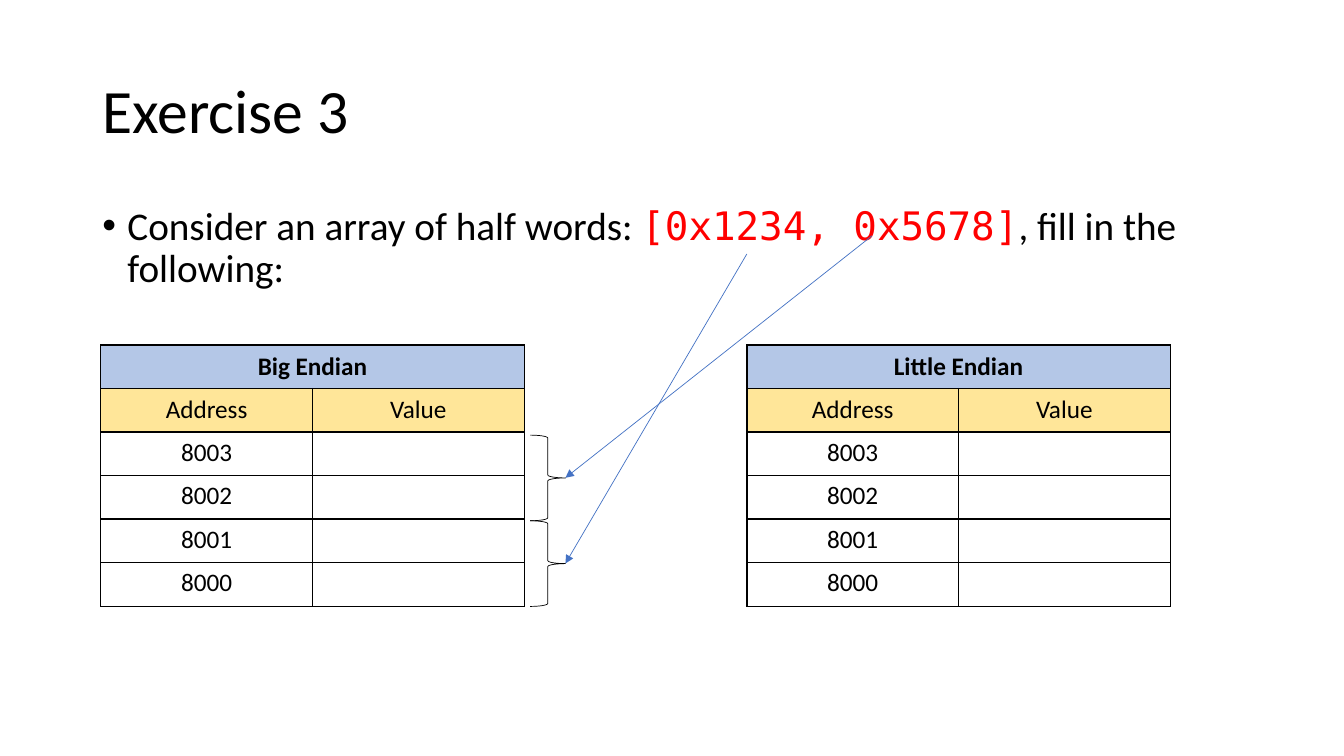
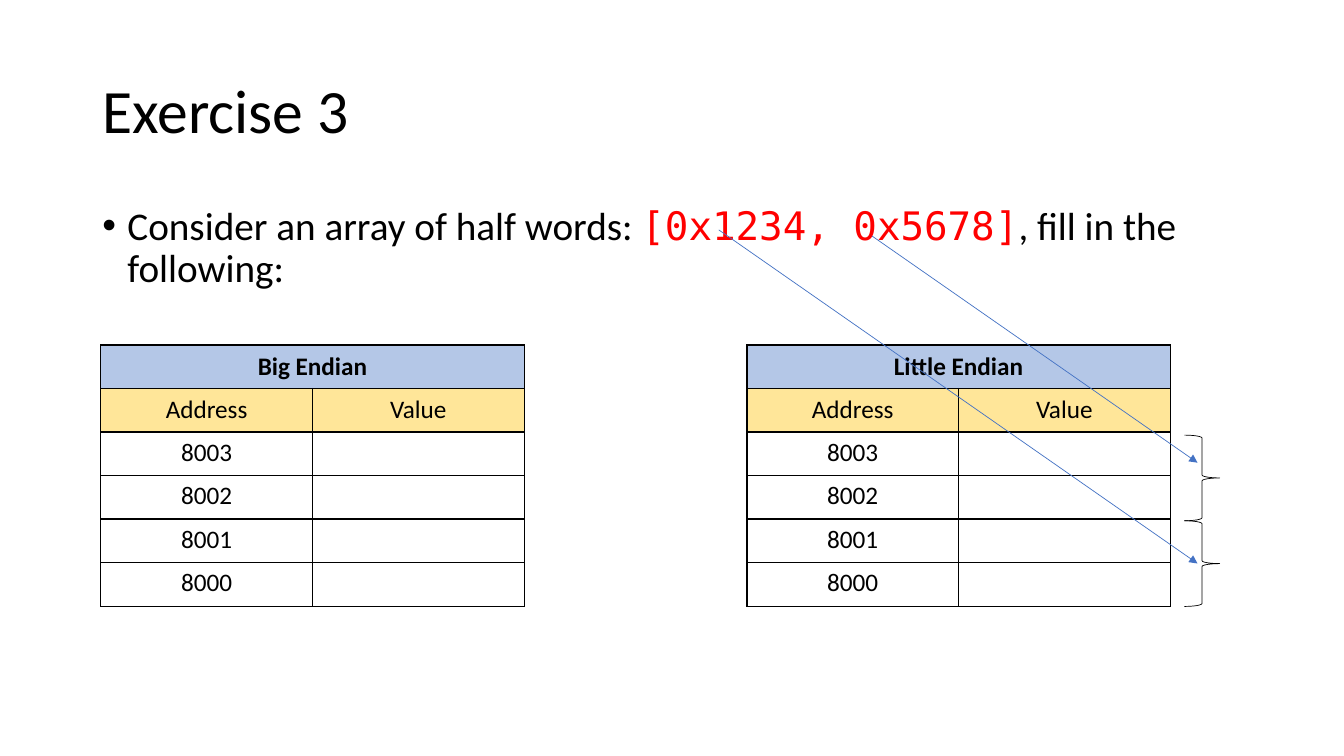
"""Build two exercise slides on big and little endian byte order."""
from lxml import etree
from pptx import Presentation
from pptx import util as u
from pptx.dml.color import RGBColor
from pptx.enum import shapes, text
from pptx.oxml.ns import qn

COLORS = {"ink": "000000", "code": "FF0000", "arrow": "4472C4",
          "heading": "B4C7E7", "columns": "FFE699"}
SANS, MONO = "Calibri", "DejaVu Sans Mono"
TABLES = {"Big Endian": 72, "Little Endian": 533.5}
ADDRESSES = ["8003", "8002", "8001", "8000"]
TABLE_TOP, COLUMN_WIDTH, ROW_HEIGHT = 246.4, 151.2, 31.1
BRACE_TOP, BRACE_WIDTH, BRACE_HEIGHT = 310.8, 25.2, 61.2
TEXTS = [
    {"at": (66, 28.8, 828, 104.4), "anchor": text.MSO_ANCHOR.MIDDLE, "size": 44,
     "before": 0, "bullet": False, "runs": [("Exercise 3", SANS, "ink")]},
    {"at": (66, 144, 828, 75.6), "anchor": text.MSO_ANCHOR.TOP, "size": 28,
     "before": 10, "bullet": True,
     "runs": [("Consider an array of half words: ", SANS, "ink"),
              ("[0x1234, 0x5678]", MONO, "code"),
              (", fill in the following:", SANS, "ink")]},
]
SLIDES = [
    {"brace_left": 378.7,
     "arrows": [(533.5, 181.4, 403.9, 402.5), (622.8, 168.5, 403.9, 341.3)]},
    {"brace_left": 846,
     "arrows": [(513.4, 164.2, 855.4, 402.5), (622.8, 168.5, 855.4, 330.5)]},
]


def add_run(para, words, size, name="ink", face=SANS, bold=False):
    span = para.add_run()
    span.text = words
    for key, value in {"size": u.Pt(size), "name": face, "bold": bold}.items():
        setattr(span.font, key, value)
    span.font.color.rgb = RGBColor.from_string(COLORS[name])


def style_cell(cell, words, fill=None, bold=False):
    props = cell._tc.get_or_add_tcPr()
    for side in ("lnL", "lnR", "lnT", "lnB"):
        border = etree.SubElement(props, qn(f"a:{side}"), w=str(u.Pt(1)))
        solid = etree.SubElement(border, qn("a:solidFill"))
        etree.SubElement(solid, qn("a:srgbClr"), val=COLORS["ink"])
    if fill:
        cell.fill.solid()
        cell.fill.fore_color.rgb = RGBColor.from_string(COLORS[fill])
        cell.vertical_anchor = text.MSO_ANCHOR.MIDDLE
    else:
        cell.fill.background()
    if words:
        para = cell.text_frame.paragraphs[0]
        para.alignment = text.PP_ALIGN.CENTER
        add_run(para, words, 18, bold=bold)


deck = Presentation()
deck.slide_width, deck.slide_height = u.Pt(960), u.Pt(540)

for layout in SLIDES:
    page = deck.slides.add_slide(deck.slide_layouts[6])

    for item in TEXTS:
        box = page.shapes.add_textbox(*map(u.Pt, item["at"]))
        frame = box.text_frame
        frame.word_wrap = True
        frame.vertical_anchor = item["anchor"]
        para = frame.paragraphs[0]
        para.line_spacing = 0.9
        para.space_before = u.Pt(item["before"])
        if item["bullet"]:
            props = para._p.get_or_add_pPr()
            props.set("marL", str(u.Pt(18)))
            props.set("indent", str(u.Pt(-18)))
            etree.SubElement(props, qn("a:buFont"), typeface="Arial")
            etree.SubElement(props, qn("a:buChar"), char="•")
        for words, face, name in item["runs"]:
            add_run(para, words, item["size"], name, face)

    for heading, left in TABLES.items():
        rows = [(heading, ""), ("Address", "Value")]
        rows += [(address, "") for address in ADDRESSES]
        table = page.shapes.add_table(
            len(rows), 2, u.Pt(left), u.Pt(TABLE_TOP),
            u.Pt(2 * COLUMN_WIDTH), u.Pt(len(rows) * ROW_HEIGHT)).table
        table.first_row = table.horz_banding = False
        table.cell(0, 0).merge(table.cell(0, 1))
        fills = ["heading", "columns"] + [None] * len(ADDRESSES)
        for r, (row, fill) in enumerate(zip(rows, fills)):
            for c, words in enumerate(row):
                style_cell(table.cell(r, c), words, fill, bold=r == 0)

    for ends in layout["arrows"]:
        arrow = page.shapes.add_connector(
            shapes.MSO_CONNECTOR.STRAIGHT, *map(u.Pt, ends))
        arrow.line.width = u.Pt(0.5)
        arrow.line.color.rgb = RGBColor.from_string(COLORS["arrow"])
        etree.SubElement(arrow.line._get_or_add_ln(), qn("a:tailEnd"), type="triangle")
        etree.SubElement(arrow._element.spPr, qn("a:effectLst"))

    for i in range(2):
        brace = page.shapes.add_shape(
            shapes.MSO_SHAPE.RIGHT_BRACE, u.Pt(layout["brace_left"]),
            u.Pt(BRACE_TOP + i * BRACE_HEIGHT), u.Pt(BRACE_WIDTH), u.Pt(BRACE_HEIGHT))
        brace.shadow.inherit = False
        brace.fill.background()
        brace.line.width = u.Pt(0.5)
        brace.line.color.rgb = RGBColor.from_string(COLORS["ink"])

deck.save("out.pptx")
